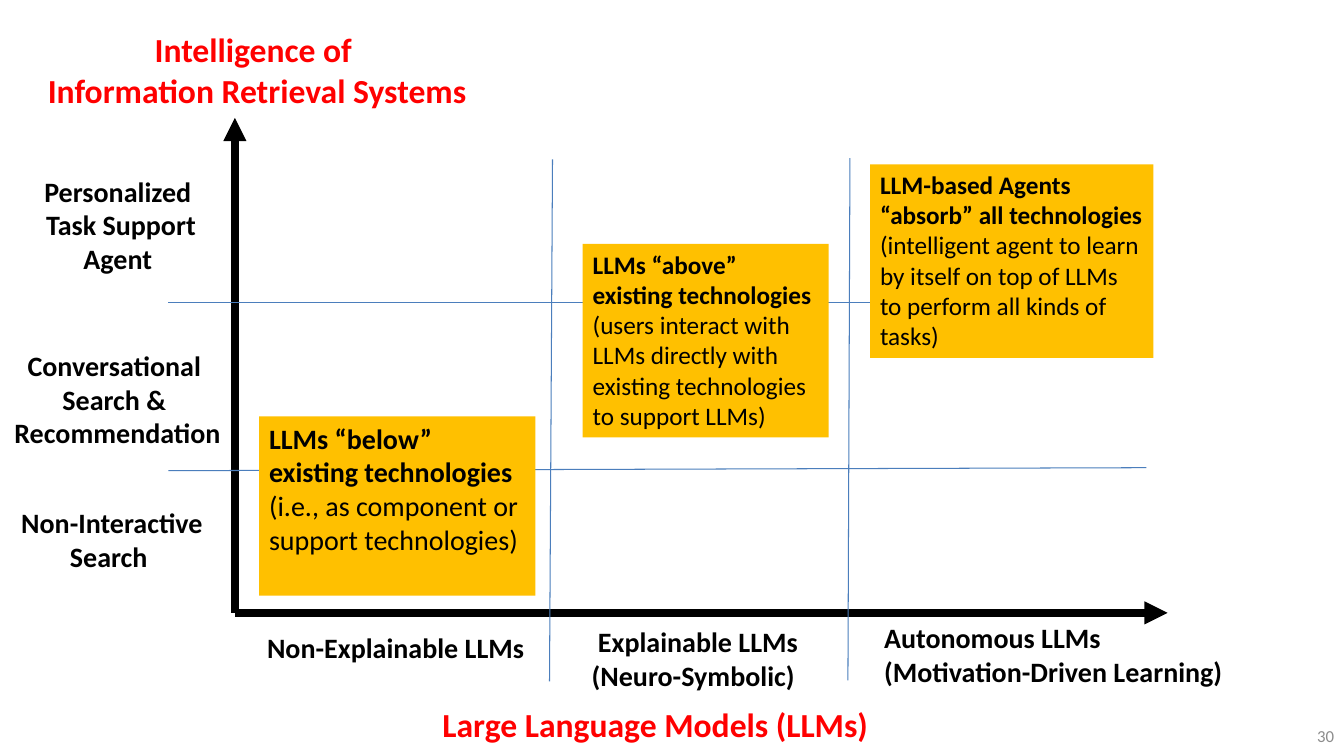
from pptx import Presentation
from pptx.dml.color import RGBColor
from pptx.enum.shapes import MSO_CONNECTOR as Connector, MSO_SHAPE as Shape
from pptx.enum.text import MSO_ANCHOR as Anchor, PP_ALIGN as Align
from pptx.oxml.ns import qn
from pptx.util import Inches, Pt
from lxml import etree

FONT = "Calibri"
BLACK, RED, GREY, BLUE, AMBER = "000000", "FF0000", "8C8C8C", "4B7EBC", "FFC000"


def color(hex_code):
    return RGBColor.from_string(hex_code)


def write(text_frame, lines, size, hex_code, bold_lines, align=Align.LEFT):
    """Fill the frame with one paragraph per line; the first bold_lines are bold."""
    text_frame.text = "\n".join(lines)
    for index, paragraph in enumerate(text_frame.paragraphs):
        paragraph.alignment = align
        font = paragraph.runs[0].font
        font.name, font.size, font.bold = FONT, Pt(size), index < bold_lines
        font.color.rgb = color(hex_code)


def add_label(slide, box, lines, size=20, hex_code=BLACK, align=Align.LEFT, bold=True):
    text_frame = slide.shapes.add_textbox(*map(Inches, box)).text_frame
    text_frame.word_wrap = False
    write(text_frame, lines, size, hex_code, len(lines) if bold else 0, align)
    return text_frame


def add_line(slide, start, end, hex_code, width, arrow=False):
    line = slide.shapes.add_connector(
        Connector.STRAIGHT, *map(Inches, (*start, *end)))
    line.line.color.rgb = color(hex_code)
    line.line.width = Pt(width)
    if arrow:
        etree.SubElement(line.line._get_or_add_ln(), qn("a:tailEnd"), type="triangle")
    etree.SubElement(line._element.spPr, qn("a:effectLst"))


def add_card(slide, box, heading, detail, size):
    card = slide.shapes.add_shape(Shape.RECTANGLE, *map(Inches, box))
    card.shadow.inherit = False
    card.fill.solid()
    card.fill.fore_color.rgb = color(AMBER)
    card.line.fill.background()
    card.text_frame.word_wrap = True
    card.text_frame.vertical_anchor = Anchor.TOP
    write(card.text_frame, [heading, detail], size, BLACK, 1)


def add_axes(slide):
    origin = (2.33, 6.08)
    for tip in ((11.58, 6.08), (2.33, 1.17)):
        add_line(slide, origin, tip, BLACK, 5.5, arrow=True)
    add_label(slide, (0.35, 0.24, 4.4, 0.91),
              ["Intelligence of ", "Information Retrieval Systems"],
              24, RED, Align.CENTER)
    add_label(slide, (4.29, 6.93, 4.47, 0.5), ["Large Language Models (LLMs)"], 24, RED)


def add_categories(slide):
    system_levels = [
        ((0.1, 4.97, 2.02, 0.78), ["Non-Interactive", "Search "]),
        ((0.03, 3.41, 2.27, 1.11), ["Conversational ", "Search & ", "Recommendation"]),
        ((0.25, 1.68, 1.9, 1.11), ["Personalized ", "Task Support", "Agent "]),
    ]
    for box, lines in system_levels:
        add_label(slide, box, lines, align=Align.CENTER)
    model_kinds = [
        ((2.55, 6.21, 2.78, 0.44), ["Non-Explainable LLMs"]),
        ((5.77, 6.15, 2.47, 0.78), [" Explainable LLMs", "(Neuro-Symbolic)"]),
        ((8.67, 6.11, 3.65, 0.78), ["Autonomous LLMs", "(Motivation-Driven Learning)"]),
    ]
    for box, lines in model_kinds:
        # Wrapping keeps the text at the left edge of its column
        add_label(slide, box, lines).word_wrap = True


def add_grid(slide):
    dividers = [
        ((1.67, 4.67), (11.37, 4.64)),
        ((1.67, 3), (11.41, 3)),
        ((5.45, 6.76), (5.48, 1.58)),
        ((8.41, 6.75), (8.43, 1.57)),
    ]
    for start, end in dividers:
        add_line(slide, start, end, BLUE, 0.75)


def add_cards(slide):
    add_card(slide, (2.57, 4.13, 2.74, 1.78), "LLMs “below” existing technologies",
             "(i.e., as component or support technologies)", 20)
    add_card(slide, (5.78, 2.42, 2.44, 1.92), "LLMs “above” existing technologies",
             "(users interact with LLMs directly with existing technologies "
             "to support LLMs)", 18)
    add_card(slide, (8.63, 1.63, 2.81, 1.92), "LLM-based Agents “absorb” all technologies",
             "(intelligent agent to learn by itself on top of LLMs "
             "to perform all kinds of tasks)", 18)


def main():
    presentation = Presentation()
    presentation.slide_width, presentation.slide_height = Inches(13.33), Inches(7.5)
    slide = presentation.slides.add_slide(presentation.slide_layouts.get_by_name("Blank"))
    number = add_label(slide, (10.22, 7.1, 3.11, 0.4), ["30"], 12, GREY, Align.RIGHT, False)
    number.word_wrap = True
    number.vertical_anchor = Anchor.MIDDLE
    add_axes(slide)
    add_categories(slide)
    add_grid(slide)
    add_cards(slide)
    presentation.save("out.pptx")


if __name__ == "__main__":
    main()
